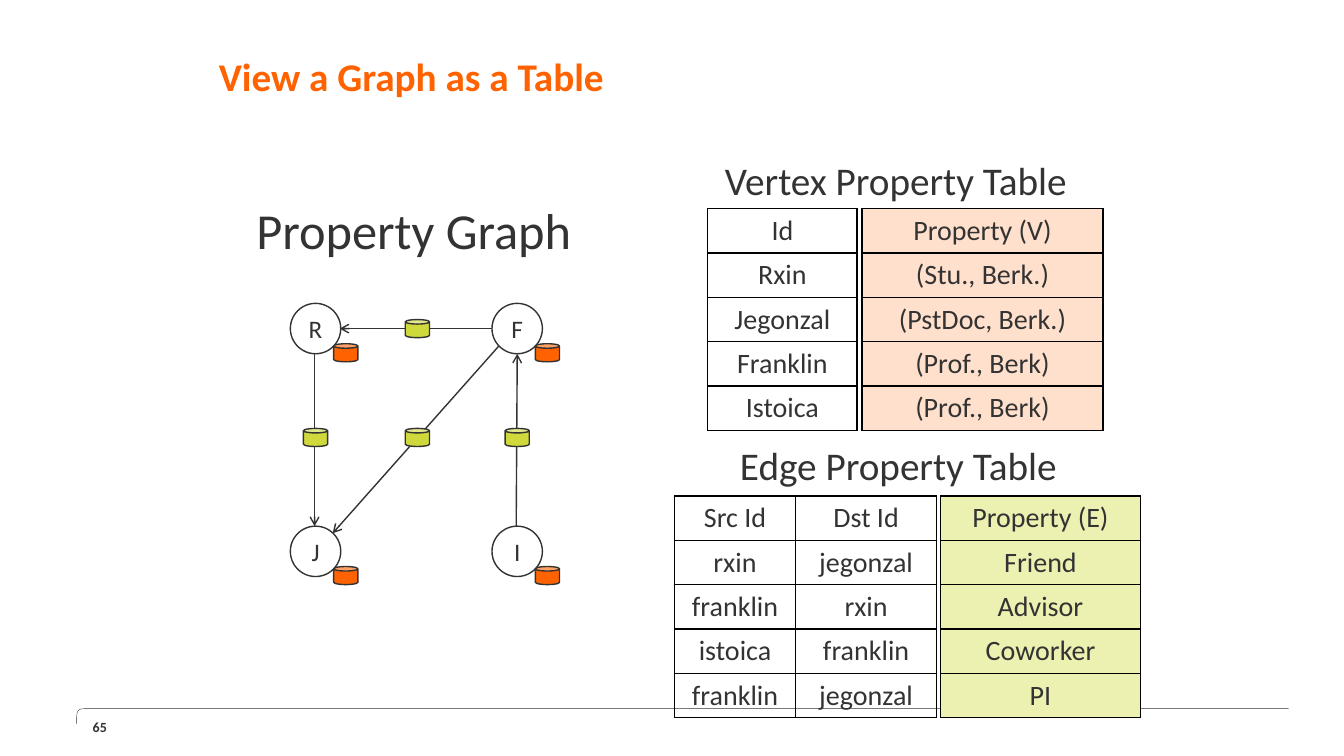
"""Build a slide that shows a property graph beside its vertex and edge tables."""
import lxml.etree
import pptx
import pptx.dml.color
import pptx.enum.shapes
import pptx.enum.text
import pptx.oxml.ns
import pptx.util

Inches = pptx.util.Inches
Pt = pptx.util.Pt
MSO_SHAPE = pptx.enum.shapes.MSO_SHAPE
PP_ALIGN = pptx.enum.text.PP_ALIGN
MSO_ANCHOR = pptx.enum.text.MSO_ANCHOR

FONT = "Calibri"
INK, ORANGE, GREEN = "333333", "FF6200", "D0D93C"
PALE_ORANGE, PALE_GREEN = "FFE0CC", "ECF0B1"

TITLE = "View a Graph as a Table"
PAGE_NUMBER = "65"
HEADINGS = [
    ("Property Graph", 36, (2.28, 1.93, 3.65, 0.71)),
    ("Vertex Property Table", 28, (6.91, 1.5, 3.95, 0.57)),
    ("Edge Property Table", 28, (7.03, 4.33, 3.76, 0.57)),
]
TABLES = [
    (7.02, 2.07, [1.48], None,
     [["Id"], ["Rxin"], ["Jegonzal"], ["Franklin"], ["Istoica"]]),
    (8.55, 2.07, [2.39], PALE_ORANGE,
     [["Property (V)"], ["(Stu., Berk.)"], ["(PstDoc, Berk.)"],
      ["(Prof., Berk)"], ["(Prof., Berk)"]]),
    (6.69, 4.92, [1.2, 1.4], None,
     [["Src Id", "Dst Id"], ["rxin", "jegonzal"], ["franklin", "rxin"],
      ["istoica", "franklin"], ["franklin", "jegonzal"]]),
    (9.33, 4.92, [1.98], PALE_GREEN,
     [["Property (E)"], ["Friend"], ["Advisor"], ["Coworker"], ["PI"]]),
]
ROW_HEIGHT = 0.44
VERTICES = {"R": (2.88, 3.01), "J": (2.88, 5.22), "F": (4.88, 3.01), "I": (4.88, 5.22)}
VERTEX_SIZE = 0.5
EDGES = [
    ((3.12, 3.51), (3.12, 5.22)),
    ((4.88, 3.26), (3.37, 3.26)),
    ((5.12, 5.22), (5.13, 3.51)),
    ((4.95, 3.43), (3.3, 5.29)),
]
EDGE_PROPERTIES = [(4.02, 3.17), (5.01, 4.25), (3.01, 4.25), (4.02, 4.25)]
VERTEX_PROPERTY_OFFSET = (0.43, 0.4)
CAN_SIZE = (0.24, 0.18)
RULE_RIGHT, RULE_LEFT, RULE_TOP, RULE_BOTTOM = 12.78, 0.76, 7.03, 7.18
CORNER_WIDTH, CORNER_STEPS = 0.13, 12


def color(value):
    return pptx.dml.color.RGBColor.from_string(value)


def add_run(paragraph, text, size, ink=INK, bold=False):
    run = paragraph.add_run()
    run.text = text
    run.font.name = FONT
    run.font.size = Pt(size)
    run.font.bold = bold
    run.font.color.rgb = color(ink)


def clear_margins(frame):
    frame.margin_left = frame.margin_right = frame.margin_top = frame.margin_bottom = 0
    frame.vertical_anchor = MSO_ANCHOR.MIDDLE


def style_shape(shape, fill=None, width=1):
    shape.shadow.inherit = False
    if fill:
        shape.fill.solid()
        shape.fill.fore_color.rgb = color(fill)
    else:
        shape.fill.background()
    shape.line.color.rgb = color(INK)
    shape.line.width = Pt(width)


def add_title(slide):
    title = slide.shapes.title
    title.left, title.top, title.width, title.height = map(Inches, (2.17, 0.17, 9, 1.25))
    frame = title.text_frame
    clear_margins(frame)
    frame.auto_size = pptx.enum.text.MSO_AUTO_SIZE.NONE
    paragraph = frame.paragraphs[0]
    paragraph.alignment = PP_ALIGN.LEFT
    paragraph.line_spacing = Pt(28)
    add_run(paragraph, TITLE, 28, ORANGE, True)


def add_footer(slide):
    corner = RULE_LEFT + CORNER_WIDTH
    points = []
    for step in range(CORNER_STEPS + 1):
        t = step / CORNER_STEPS
        points.append((Inches(RULE_LEFT + CORNER_WIDTH * (1 - t) ** 3),
                       Inches(RULE_TOP + (RULE_BOTTOM - RULE_TOP) * t ** 3)))
    builder = slide.shapes.build_freeform(Inches(RULE_RIGHT), Inches(RULE_TOP))
    builder.add_line_segments([(Inches(corner), Inches(RULE_TOP))] + points[1:], close=False)
    style_shape(builder.convert_to_shape(), width=0.25)
    box = slide.shapes.add_textbox(*map(Inches, (0.92, 7.11, 0.54, 0.21)))
    clear_margins(box.text_frame)
    box.text_frame.word_wrap = True
    add_run(box.text_frame.paragraphs[0], PAGE_NUMBER, 10, bold=True)


def add_borders(cell):
    properties = cell._tc.get_or_add_tcPr()
    for side in ("lnL", "lnR", "lnT", "lnB"):
        line = lxml.etree.SubElement(properties, pptx.oxml.ns.qn("a:" + side), w=str(Pt(1)))
        fill = lxml.etree.SubElement(line, pptx.oxml.ns.qn("a:solidFill"))
        lxml.etree.SubElement(fill, pptx.oxml.ns.qn("a:srgbClr"), val="000000")


def add_property_table(slide, left, top, widths, fill, rows):
    frame = slide.shapes.add_table(len(rows), len(widths), Inches(left), Inches(top),
                                   Inches(sum(widths)), Inches(ROW_HEIGHT * len(rows)))
    table = frame.table
    table.first_row = table.horz_banding = False
    for column, width in zip(table.columns, widths):
        column.width = Inches(width)
    for row_index, row in enumerate(rows):
        for column_index, text in enumerate(row):
            cell = table.cell(row_index, column_index)
            add_borders(cell)
            if fill:
                cell.fill.solid()
                cell.fill.fore_color.rgb = color(fill)
            else:
                cell.fill.background()
            paragraph = cell.text_frame.paragraphs[0]
            paragraph.alignment = PP_ALIGN.CENTER
            add_run(paragraph, text, 20)


def add_edge(slide, start, end):
    edge = slide.shapes.add_connector(pptx.enum.shapes.MSO_CONNECTOR.STRAIGHT,
                                      *map(Inches, start + end))
    edge.line.color.rgb = color(INK)
    edge.line.width = Pt(1)
    line = edge.line._get_or_add_ln()
    lxml.etree.SubElement(line, pptx.oxml.ns.qn("a:tailEnd"), type="arrow")
    lxml.etree.SubElement(edge._element.spPr, pptx.oxml.ns.qn("a:effectLst"))


def add_can(slide, left, top, fill):
    can = slide.shapes.add_shape(MSO_SHAPE.CAN, *map(Inches, (left, top) + CAN_SIZE))
    style_shape(can, fill)


def add_graph(slide):
    for name, (left, top) in VERTICES.items():
        vertex = slide.shapes.add_shape(
            MSO_SHAPE.OVAL, *map(Inches, (left, top, VERTEX_SIZE, VERTEX_SIZE)))
        style_shape(vertex)
        clear_margins(vertex.text_frame)
        paragraph = vertex.text_frame.paragraphs[0]
        paragraph.alignment = PP_ALIGN.CENTER
        add_run(paragraph, name, 18)
    for start, end in EDGES:
        add_edge(slide, start, end)
    for left, top in EDGE_PROPERTIES:
        add_can(slide, left, top, GREEN)
    offset_x, offset_y = VERTEX_PROPERTY_OFFSET
    for left, top in VERTICES.values():
        add_can(slide, left + offset_x, top + offset_y, ORANGE)


def add_heading(slide, text, size, place):
    box = slide.shapes.add_textbox(*map(Inches, place))
    box.text_frame.word_wrap = False
    paragraph = box.text_frame.paragraphs[0]
    paragraph.alignment = PP_ALIGN.CENTER
    add_run(paragraph, text, size)


def main():
    presentation = pptx.Presentation()
    presentation.slide_width, presentation.slide_height = Inches(13.33), Inches(7.5)
    slide = presentation.slides.add_slide(presentation.slide_layouts[5])
    add_footer(slide)
    add_title(slide)
    for table in TABLES:
        add_property_table(slide, *table)
    add_graph(slide)
    for heading in HEADINGS:
        add_heading(slide, *heading)
    presentation.save("out.pptx")


if __name__ == "__main__":
    main()
